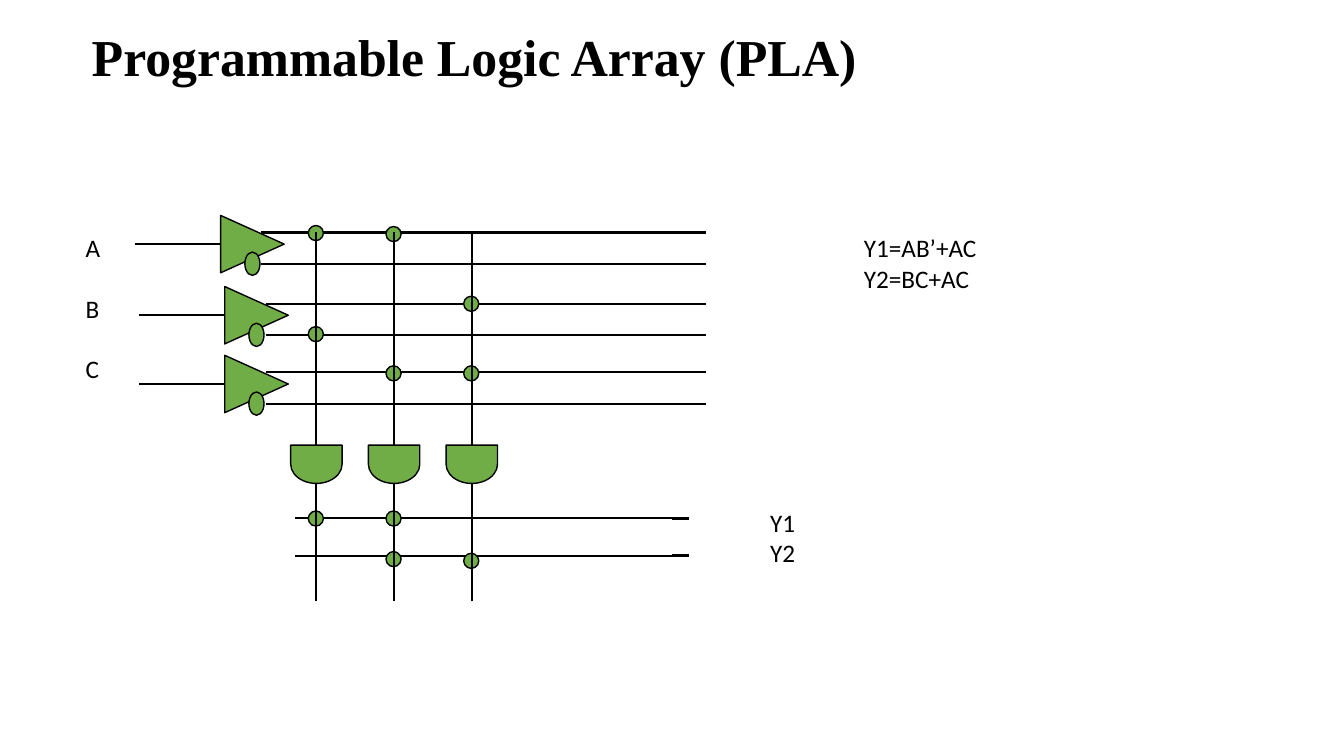
from pptx import Presentation
from pptx.dml.color import RGBColor
from pptx.enum.shapes import MSO_CONNECTOR as Link, MSO_SHAPE as Form
from pptx.enum.text import MSO_ANCHOR as Anchor, MSO_AUTO_SIZE as Fit, PP_ALIGN as Align
from pptx.oxml.ns import qn
from pptx.util import Pt
from lxml.etree import SubElement

BLACK = RGBColor(0x00, 0x00, 0x00)
GREEN = RGBColor(0x70, 0xAD, 0x47)

BUS_END = 504
COLS = [226 + 55.5 * i for i in range(3)]
# Left edge and input height of each buffer
BUFS = {"A": (159.8, 174.4), "B": (162.7, 225.2), "C": (162.7, 274.3)}
TRUE, COMP = -8.3, 14
OUTS = [370.2, 396.9]
# Column and height of each closed junction
DOTS = [
    (0, 166.5), (1, 167.2), (0, 238.7), (2, 217), (1, 266.7), (2, 266.7),
    (0, 370.4), (1, 370.4), (1, 399.4), (2, 400.6),
]


def add_form(slide, form, mid_x, mid_y, wide, high, turn=0):
    """Add a green shape centred on a point."""
    shape = slide.shapes.add_shape(
        form, Pt(mid_x - wide / 2), Pt(mid_y - high / 2), Pt(wide), Pt(high))
    shape.rotation = turn
    shape.shadow.inherit = False
    shape.fill.solid()
    shape.fill.fore_color.rgb = GREEN
    shape.line.color.rgb = BLACK
    shape.line.width = Pt(1)


def add_wire(slide, x1, y1, x2, y2, width=1.5):
    wire = slide.shapes.add_connector(Link.STRAIGHT, Pt(x1), Pt(y1), Pt(x2), Pt(y2))
    wire.line.color.rgb = BLACK
    wire.line.width = Pt(width)
    SubElement(wire._element.spPr, qn("a:effectLst"))


def add_run(para, text, size, font, bold=False):
    run = para.add_run()
    run.text = text
    run.font.size = Pt(size)
    run.font.name = font
    run.font.bold = bold
    run.font.color.rgb = BLACK


def add_text(slide, left, top, wide, high, lines, gap=0):
    frame = slide.shapes.add_textbox(Pt(left), Pt(top), Pt(wide), Pt(high)).text_frame
    frame.word_wrap = True
    frame.margin_left = frame.margin_right = Pt(9.4)
    frame.margin_top = frame.margin_bottom = Pt(5)
    for i, line in enumerate(lines):
        para = frame.paragraphs[0] if i == 0 else frame.add_paragraph()
        if i:
            para.space_before = Pt(gap)
        add_run(para, line, 18, "Calibri")


def set_title(slide, text):
    title = slide.shapes.title
    title.left, title.top, title.width, title.height = Pt(58.3), Pt(13.7), Pt(854), Pt(52.6)
    frame = title.text_frame
    frame.auto_size = Fit.NONE
    frame.vertical_anchor = Anchor.MIDDLE
    para = frame.paragraphs[0]
    para.alignment = Align.LEFT
    add_run(para, text, 37, "Times New Roman", True)


def add_buffer(slide, left, mid):
    """Add an input buffer with its true and complement lines."""
    add_form(slide, Form.ISOSCELES_TRIANGLE, left + 20.5, mid, 41, 45.4, 90)
    add_form(slide, Form.OVAL, left + 20.5, mid + COMP, 10.8, 16.6)
    add_wire(slide, left - 63.4, mid, left - 2.2, mid)
    for shift in (TRUE, COMP):
        add_wire(slide, left + 27, mid + shift, BUS_END, mid + shift)


def add_column(slide, x):
    """Add an AND gate with its product line above and below."""
    add_form(slide, Form.FLOWCHART_DELAY, x, 331.6, 27.4, 36.7, 90)
    add_wire(slide, x, 318.2, x, 165.6)
    add_wire(slide, x, 429.6, x, 345.6)


def main():
    deck = Presentation()
    deck.slide_width, deck.slide_height = Pt(960), Pt(540)
    slide = deck.slides.add_slide(deck.slide_layouts[5])
    set_title(slide, "Programmable Logic Array (PLA)")

    for left, mid in BUFS.values():
        add_buffer(slide, left, mid)
    for y in OUTS:
        add_wire(slide, 211, y, 480, y)
        add_wire(slide, 480, y, 492, y, 2.25)
    for col, y in DOTS:
        add_form(slide, Form.OVAL, COLS[col] - 0.4, y, 10.8, 10.8)
    for x in COLS:
        add_column(slide, x)

    add_text(slide, 51.8, 161.3, 48.2, 123, BUFS, 21.5)
    add_text(slide, 540.7, 357.1, 48.2, 54.7, ["Y1", "Y2"])
    add_text(slide, 607.7, 161.3, 230.4, 54.7, ["Y1=AB’+AC", "Y2=BC+AC"])
    deck.save("out.pptx")


if __name__ == "__main__":
    main()
